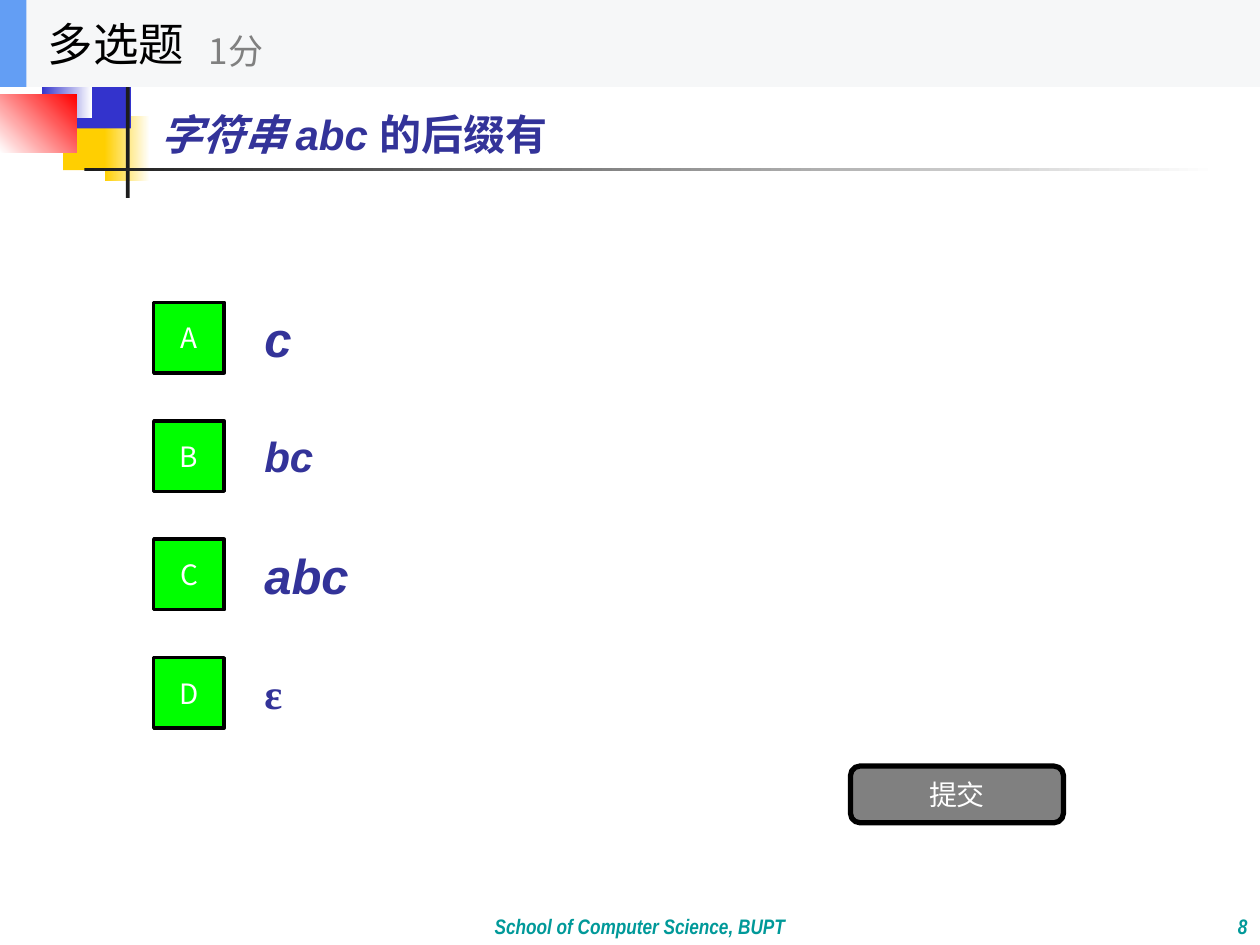
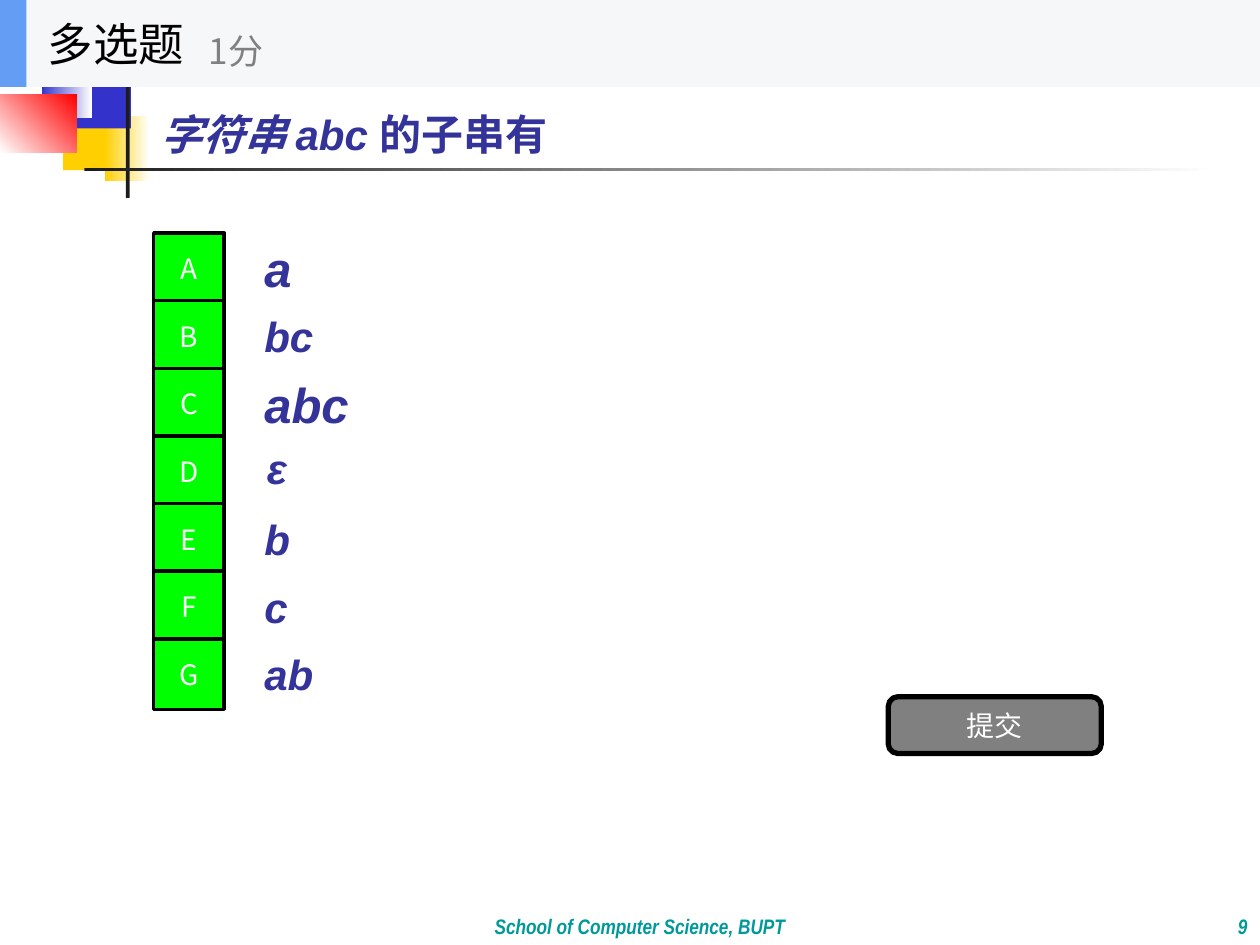
from dataclasses import dataclass
from typing import NamedTuple

from lxml.etree import SubElement
from pptx import Presentation
from pptx.dml.color import RGBColor
from pptx.enum.shapes import MSO_SHAPE
from pptx.enum.text import MSO_ANCHOR, MSO_AUTO_SIZE, PP_ALIGN
from pptx.oxml.ns import qn
from pptx.util import Inches, Pt

COLORS = {
    "yellow": "FFCF01", "blue": "3333CC", "red": "FF0000", "dark": "1C1C1C",
    "white": "FFFFFF", "black": "000000", "gray": "808080", "green": "00FF00",
    "ink": "333399", "teal": "009999", "band": "F6F7F8", "accent": "639EF4",
}
CJK = "Noto Sans CJK SC"


class Box(NamedTuple):
    left: float
    top: float
    width: float
    height: float


class Style(NamedTuple):
    size: int
    color: str
    font: str = CJK
    bold: bool = False
    italic: bool = False


class Decor(NamedTuple):
    box: Box
    start: str
    end: str = ""
    angle: int = 0


@dataclass
class Choice:
    text: str
    size: int = 24
    font: str = "Arial"
    italic: bool = True
    left: float = 2
    shift: float = 0


@dataclass
class Quiz:
    number: int
    ending: str
    first: float
    last: float
    submit: Box
    choices: list[Choice]


DECOR = [
    Decor(Box(0.5, 0.83, 0.48, 0.52), "yellow"),
    Decor(Box(0.83, 0.92, 0.36, 0.52), "yellow", "white"),
    Decor(Box(0.58, 0.5, 0.46, 0.52), "blue"),
    Decor(Box(0.33, 0.42, 0.4, 0.52), "blue", "white"),
    Decor(Box(0, 0.75, 0.61, 0.46), "white", "red", 45),
    Decor(Box(1, 0.42, 0.03, 1.15), "dark"),
    Decor(Box(0.67, 1.33, 9, 0.03), "dark", "white"),
]
TITLE = Style(24, "ink", "Arial", True, True)
FOOTER = Style(12, "teal", "Arial Narrow", True, True)
LABEL = Style(16, "white")

QUIZZES = [
    Quiz(8, "的后缀有", 2.4, 5.22, Box(6.75, 6.08, 1.69, 0.45), [
        Choice("c", 28), Choice("bc"), Choice("abc", 28),
        Choice("ε", font="Times New Roman", italic=False),
    ]),
    Quiz(9, "的子串有", 1.85, 5.07, Box(7.05, 5.53, 1.69, 0.45), [
        Choice("a", 28), Choice("bc"), Choice("abc", 28),
        Choice("ε", left=2.02, shift=-0.03),
        Choice("b"), Choice("c"), Choice("ab"),
    ]),
]


def rgb(name: str) -> RGBColor:
    return RGBColor.from_string(COLORS[name])


def format_run(run, style: Style) -> None:
    font = run.font
    font.size, font.bold, font.italic = Pt(style.size), style.bold, style.italic
    font.color.rgb = rgb(style.color)
    font.name = style.font
    SubElement(font._element, qn("a:ea")).set("typeface", CJK)


def write(shape, text: str, style: Style, align=PP_ALIGN.LEFT,
          anchor=MSO_ANCHOR.MIDDLE):
    frame = shape.text_frame
    frame.word_wrap = True
    frame.auto_size = MSO_AUTO_SIZE.NONE
    frame.vertical_anchor = anchor
    para = frame.paragraphs[0]
    para.text = text
    para.alignment = align
    format_run(para.runs[0], style)
    return para


def add_text(slide, box: Box, text: str, style: Style, **layout):
    shape = slide.shapes.add_textbox(*map(Inches, box))
    return write(shape, text, style, **layout)


def add_block(slide, box: Box, fill: str, border: int = 0,
              kind=MSO_SHAPE.RECTANGLE):
    shape = slide.shapes.add_shape(kind, *map(Inches, box))
    shape.shadow.inherit = False
    shape.fill.solid()
    shape.fill.fore_color.rgb = rgb(fill)
    if border:
        shape.line.color.rgb = rgb("black")
        shape.line.width = Pt(border)
    else:
        shape.line.fill.background()
    return shape


def add_decor(slide) -> None:
    """Draw the ornament and hand it to the layout that all slides share."""
    tree = slide.slide_layout.shapes._spTree
    for index, item in enumerate(DECOR):
        shape = add_block(slide, item.box, item.start)
        if item.end:
            shape.fill.gradient()
            shape.fill.gradient_angle = item.angle
            for stop, color in zip(shape.fill.gradient_stops,
                                   (item.start, item.end)):
                stop.color.rgb = rgb(color)
        shape._element.nvSpPr.cNvPr.set("id", str(20 + index))
        tree.append(shape._element)


def add_title(slide, ending: str) -> None:
    title = slide.shapes.title
    title.left, title.top, title.width, title.height = map(
        Inches, Box(1.17, 0.53, 8, 1.06))
    para = write(title, "字符串 abc ", TITLE)
    run = para.add_run()
    run.text = ending
    format_run(run, TITLE._replace(italic=False))


def add_footer(slide, number: int) -> None:
    add_text(slide, Box(8.33, 7, 1.67, 0.5), str(number), FOOTER,
             align=PP_ALIGN.RIGHT, anchor=MSO_ANCHOR.BOTTOM)
    para = add_text(slide, Box(1.58, 7, 7, 0.5),
                    "School of Computer Science, BUPT", FOOTER,
                    align=PP_ALIGN.CENTER, anchor=MSO_ANCHOR.BOTTOM)
    para.line_spacing = 1.1


def add_choices(slide, quiz: Quiz) -> None:
    step = (quiz.last - quiz.first) / (len(quiz.choices) - 1)
    for index, choice in enumerate(quiz.choices):
        top = quiz.first + index * step
        style = Style(choice.size, "ink", choice.font, True, choice.italic)
        add_text(slide, Box(choice.left, top - 0.07 + choice.shift, 7, 0.7),
                 choice.text, style)
        badge = add_block(slide, Box(1.22, top, 0.56, 0.56), "green", 2)
        write(badge, "ABCDEFG"[index], LABEL, PP_ALIGN.CENTER)


def add_submit(slide, box: Box) -> None:
    button = add_block(slide, box, "gray", 3, MSO_SHAPE.ROUNDED_RECTANGLE)
    write(button, "提交", LABEL, PP_ALIGN.CENTER)


def add_band(slide) -> None:
    add_block(slide, Box(0, 0, 10, 0.69), "band")
    add_block(slide, Box(0, 0, 0.21, 0.69), "accent")
    add_text(slide, Box(0.28, 0, 2.08, 0.69), "多选题", Style(26, "black"))
    add_text(slide, Box(1.56, 0.12, 2.5, 0.56), "1分", Style(20, "gray"))


def main() -> None:
    deck = Presentation()
    deck.slide_width, deck.slide_height = Inches(10), Inches(7.5)
    for index, quiz in enumerate(QUIZZES):
        slide = deck.slides.add_slide(deck.slide_layouts[5])
        if index == 0:
            add_decor(slide)
        add_title(slide, quiz.ending)
        add_footer(slide, quiz.number)
        add_choices(slide, quiz)
        add_submit(slide, quiz.submit)
        add_band(slide)
    deck.save("out.pptx")


if __name__ == "__main__":
    main()
